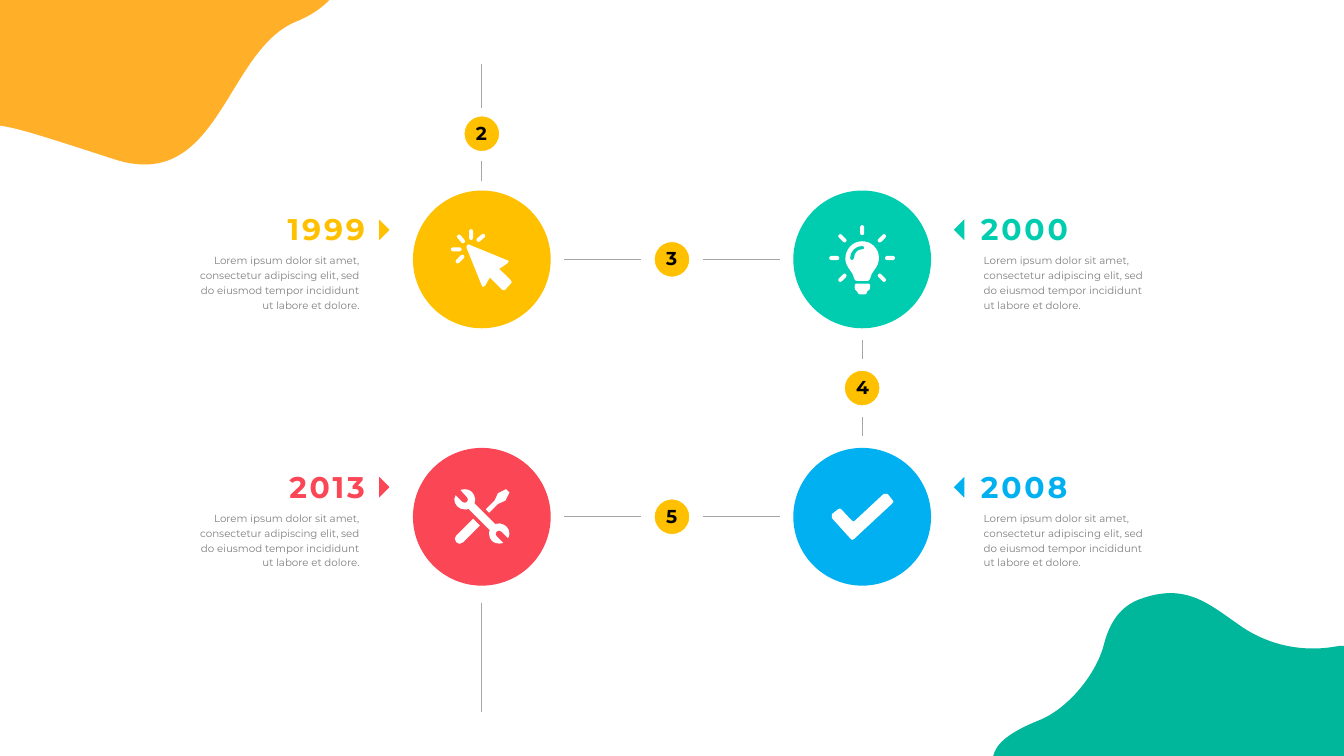
import math
import pptx
import pptx.dml.color
import pptx.enum.shapes
import pptx.enum.text
import pptx.oxml
import pptx.oxml.ns
import pptx.util

SHAPE = pptx.enum.shapes.MSO_SHAPE
ALIGN = pptx.enum.text.PP_ALIGN
YELLOW, GREEN, RED, BLUE = "FFC000", "00CCAF", "FA4655", "00B0F0"
WHITE, GREY, LINE_GREY, BLACK = "FFFFFF", "808080", "A6A6A6", "010101"
LEFT, MIDDLE, RIGHT = 7.17, 10, 12.83
TOP, BOTTOM = 3.86, 7.69
GAPS = {-1: (1.72, 1.64, 1.53), 1: (1.71, 1.67, 1.52)}
BODY = ("Lorem ipsum dolor sit amet, consectetur adipiscing elit, "
        "sed do eiusmod tempor incididunt ut labore et dolore.")


def color(value):
    return pptx.dml.color.RGBColor.from_string(value)


def ray(x1, y1, x2, y2, radius=3):
    length = math.hypot(x2 - x1, y2 - y1)
    dx, dy = (x2 - x1) / length * radius, (y2 - y1) / length * radius
    bulge_x, bulge_y = dx * 4 / 3, dy * 4 / 3
    return [(x1 + dy, y1 - dx), (x2 + dy, y2 - dx),
            (x2 + dy + bulge_x, y2 - dx + bulge_y,
             x2 - dy + bulge_x, y2 + dx + bulge_y, x2 - dy, y2 + dx),
            (x1 - dy, y1 + dx),
            (x1 - dy - bulge_x, y1 + dx - bulge_y,
             x1 + dy - bulge_x, y1 - dx - bulge_y, x1 + dy, y1 - dx)]


def bulb_ray(degrees):
    x, y = math.cos(math.radians(degrees)), math.sin(math.radians(degrees))
    return ray(37 * x, 37 * y - 2, 46 * x, 46 * y - 2)


def bend(shape, outlines):
    segments = iter(list(shape._element.iter(pptx.oxml.ns.qn("a:lnTo"))))
    for part in (part for outline in outlines for part in outline[1:]):
        segment = next(segments)
        if len(part) == 6:
            arc = pptx.oxml.parse_xml(
                '<a:cubicBezTo xmlns:a="http://schemas.openxmlformats.org/drawingml/2006/main"/>')
            segment.addprevious(arc)
            for piece in (segment, next(segments), next(segments)):
                arc.append(piece[0])
                piece.getparent().remove(piece)


class Timeline:
    """Holds the style and the current page, and draws each kind of element."""

    def __init__(self, columns=20, rows=11.25, font="Montserrat"):
        self.deck = pptx.Presentation()
        self.deck.slide_width = pptx.util.Inches(columns)
        self.deck.slide_height = pptx.util.Inches(rows)
        self.cell = self.deck.slide_width / columns
        self.font = font
        self.page = self.deck.slides.add_slide(self.deck.slide_layouts[6])

    def grid(self, *lengths):
        return [round(length * self.cell) for length in lengths]

    def paint(self, shape, fill, line=None):
        shape.shadow.inherit = False
        shape.fill.solid()
        shape.fill.fore_color.rgb = color(fill)
        if line:
            shape.line.color.rgb = color(line)
            shape.line.width = pptx.util.Pt(1)
        else:
            shape.line.fill.background()

    def shape(self, kind, x, y, size, fill, line=None, rotation=0):
        box = self.page.shapes.add_shape(
            kind, *self.grid(x - size / 2, y - size / 2, size, size))
        box.rotation = rotation
        self.paint(box, fill, line)

    def outline(self, outlines, fill, x=0, y=0, scale=1):
        builder = None
        for outline in outlines:
            points = [self.grid(x + part[i] * scale, y + part[i + 1] * scale)
                      for part in outline for i in range(0, len(part), 2)]
            if builder is None:
                builder = self.page.shapes.build_freeform(*points[0], scale=1.0)
            else:
                builder.move_to(*points[0])
            builder.add_line_segments(points[1:], close=True)
        shape = builder.convert_to_shape()
        bend(shape, outlines)
        self.paint(shape, fill)

    def line(self, x1, y1, x2, y2):
        line = self.page.shapes.add_connector(
            pptx.enum.shapes.MSO_CONNECTOR.STRAIGHT, *self.grid(x1, y1, x2, y2))
        line.line.color.rgb = color(LINE_GREY)
        line.line.width = pptx.util.Pt(1)
        line._element.spPr.append(pptx.oxml.parse_xml(
            '<a:effectLst xmlns:a="http://schemas.openxmlformats.org/drawingml/2006/main"/>'))

    def text(self, text, x, y, width, height, size, ink, align,
             bold=False, leading=None, tracking=0, wrap=True):
        box = self.page.shapes.add_textbox(*self.grid(x, y, width, height))
        frame = box.text_frame
        frame.text = text
        frame.word_wrap = wrap
        frame.auto_size = pptx.enum.text.MSO_AUTO_SIZE.SHAPE_TO_FIT_TEXT
        para = frame.paragraphs[0]
        para.alignment = align
        if leading:
            para.line_spacing = pptx.util.Pt(leading)
        span = para.runs[0]
        span.font.name = self.font
        span.font.size = pptx.util.Pt(size)
        span.font.bold = bold
        span.font.color.rgb = color(ink)
        if tracking:
            span._r.get_or_add_rPr().set("spc", str(tracking * 100))

    def badge(self, number, x, y):
        self.shape(SHAPE.OVAL, x, y, 0.53, YELLOW, WHITE)
        self.text(number, x - 0.19, y - 0.23, 0.37, 0.44, 20, BLACK,
                  ALIGN.CENTER, bold=True, wrap=False)

    def milestone(self, year, x, y, side, fill, icon):
        align = ALIGN.LEFT if side > 0 else ALIGN.RIGHT
        body_gap, year_gap, arrow_gap = GAPS[side]
        body_left, year_left = [x + side * (gap + width / 2) - width / 2
                                for gap, width in ((body_gap, 2.57), (year_gap, 2.47))]
        self.text(BODY, body_left, y - 0.16, 2.57, 0.98, 11, GREY, align, leading=16)
        self.text(year, year_left, y - 0.68, 2.47, 0.55, 32, fill, align,
                  bold=True, leading=32, tracking=3)
        self.shape(SHAPE.RIGHT_TRIANGLE, x + side * arrow_gap, y - 0.44, 0.22, fill,
                   rotation=45 if side > 0 else 225)
        self.shape(SHAPE.OVAL, x, y, 2.05, fill)
        self.outline(icon, WHITE, x, y, 0.01)


POINTER = [
    [(43, 31), (26, 14), (38, 6), (39, 5, 40, 5, 40, 3), (40, 2, 39, 1, 37, 1), (-19, -22),
     (-20, -23, -21, -22, -22, -21), (-23, -20, -23, -19, -23, -18), (0, 39),
     (0, 40, 1, 41, 2, 41), (4, 41, 4, 40, 5, 39), (12, 27), (30, 45),
     (32, 46, 34, 46, 35, 45), (43, 36), (45, 35, 45, 33, 43, 31)],
    ray(-34, -34, -28, -27), ray(-43, -15, -33, -15), ray(-29, -4, -36, 3),
    ray(-16, -42, -16, -32), ray(-5, -29, 2, -35)]
BULB = [
    [(12, 39), (12, 42), (12, 45, 10, 46, 8, 47), (7, 49), (7, 51, 6, 52, 4, 52), (-3, 52),
     (-5, 52, -6, 51, -7, 49), (-8, 47), (-10, 46, -11, 45, -11, 42), (-11, 39),
     (-11, 37, -10, 36, -8, 36), (9, 36), (11, 36, 12, 37, 12, 39)],
    [(25, -2), (25, 5, 22, 11, 18, 16), (15, 19, 13, 24, 12, 28), (11, 31, 10, 32, 8, 32),
     (-8, 32), (-10, 32, -11, 31, -12, 28), (-13, 24, -15, 19, -18, 16),
     (-22, 11, -25, 5, -25, -1), (-25, -15, -14, -27, 0, -27), (14, -27, 25, -16, 25, -2)],
    [(3, -17), (3, -19, 2, -20, 0, -20), (-10, -20, -18, -12, -18, -2),
     (-18, 0, -17, 1, -15, 1), (-14, 1, -12, 0, -12, -2), (-12, -9, -7, -15, 0, -15),
     (2, -15, 3, -15, 3, -17)],
    *[bulb_ray(degrees) for degrees in range(135, 406, 45)]]
CHECK = [
    [(-12, 33), (-14, 35, -16, 35, -17, 33), (-45, 2), (-46, 0, -46, -2, -45, -4), (-36, -11),
     (-34, -13, -32, -12, -31, -11), (-16, 5), (-15, 7, -12, 8, -11, 6), (32, -34),
     (34, -35, 36, -35, 38, -34), (45, -25), (47, -24, 47, -22, 45, -20)]]
TOOLS = [
    [(-38, 28), (-41, 30, -41, 35, -38, 38), (-35, 41, -31, 41, -28, 38), (-3, 13), (-13, 3)],
    [(24, -19), (35, -24), (41, -36), (36, -41), (24, -35), (19, -24), (6, -11), (11, -6)],
    [(27, 10), (24, 10, 22, 10, 20, 11), (-11, -20), (-10, -22, -10, -24, -10, -27),
     (-11, -35, -17, -41, -25, -41), (-28, -41, -30, -40, -32, -40), (-22, -29),
     (-20, -27, -20, -24, -22, -22), (-24, -21, -27, -20, -29, -22), (-39, -32),
     (-40, -30, -41, -28, -41, -26), (-41, -18, -34, -11, -26, -11), (-24, -10, -22, -11, -20, -12),
     (12, 20), (11, 22, 10, 24, 11, 26), (11, 34, 17, 40, 26, 40), (28, 40, 30, 40, 32, 39),
     (22, 29), (20, 27, 20, 24, 22, 22), (24, 20, 27, 20, 29, 22), (39, 32),
     (40, 30, 41, 28, 41, 25), (41, 17, 35, 11, 27, 10)]]
ORANGE_CORNER = [
    (4.92, -0.02), (4.79, 0.12, 4.63, 0.23, 4.41, 0.32), (3.35, 0.75, 3.27, 2.88, 1.7, 2.37),
    (0.71, 2.05, 0.29, 1.91, 0, 1.87), (0, -0.02)]
GREEN_CORNER = [
    (15.46, 10.72), (15.01, 10.9, 14.82, 11.07, 14.78, 11.25), (20, 11.25), (20, 9.61),
    (19.96, 9.61, 19.92, 9.61, 19.88, 9.62), (19.38, 9.71, 18.86, 9.6, 18.44, 9.3),
    (17.99, 8.99, 17.65, 8.67, 16.98, 8.91), (16.66, 9.02, 16.51, 9.28, 16.43, 9.58),
    (16.32, 10.03, 15.89, 10.55, 15.46, 10.72)]

timeline = Timeline()
for x, start, end in ((LEFT, 0.95, 1.6), (LEFT, 2.39, 2.7), (LEFT, 8.97, 10.6),
                      (RIGHT, 5.06, 5.34), (RIGHT, 6.21, 6.49)):
    timeline.line(x, start, x, end)
for row in (TOP, BOTTOM):
    for side in (-1, 1):
        timeline.line(MIDDLE + side * 0.46, row, MIDDLE + side * 1.61, row)
for number, x, y in (("2", LEFT, 1.99), ("3", MIDDLE, TOP),
                     ("4", RIGHT, (TOP + BOTTOM) / 2), ("5", MIDDLE, BOTTOM)):
    timeline.badge(number, x, y)
for milestone in (("1999", LEFT, TOP, -1, YELLOW, POINTER), ("2000", RIGHT, TOP, 1, GREEN, BULB),
                  ("2008", RIGHT, BOTTOM, 1, BLUE, CHECK), ("2013", LEFT, BOTTOM, -1, RED, TOOLS)):
    timeline.milestone(*milestone)
timeline.outline([ORANGE_CORNER], "FFAF28")
timeline.outline([GREEN_CORNER], "00B69B")
timeline.deck.save("out.pptx")
